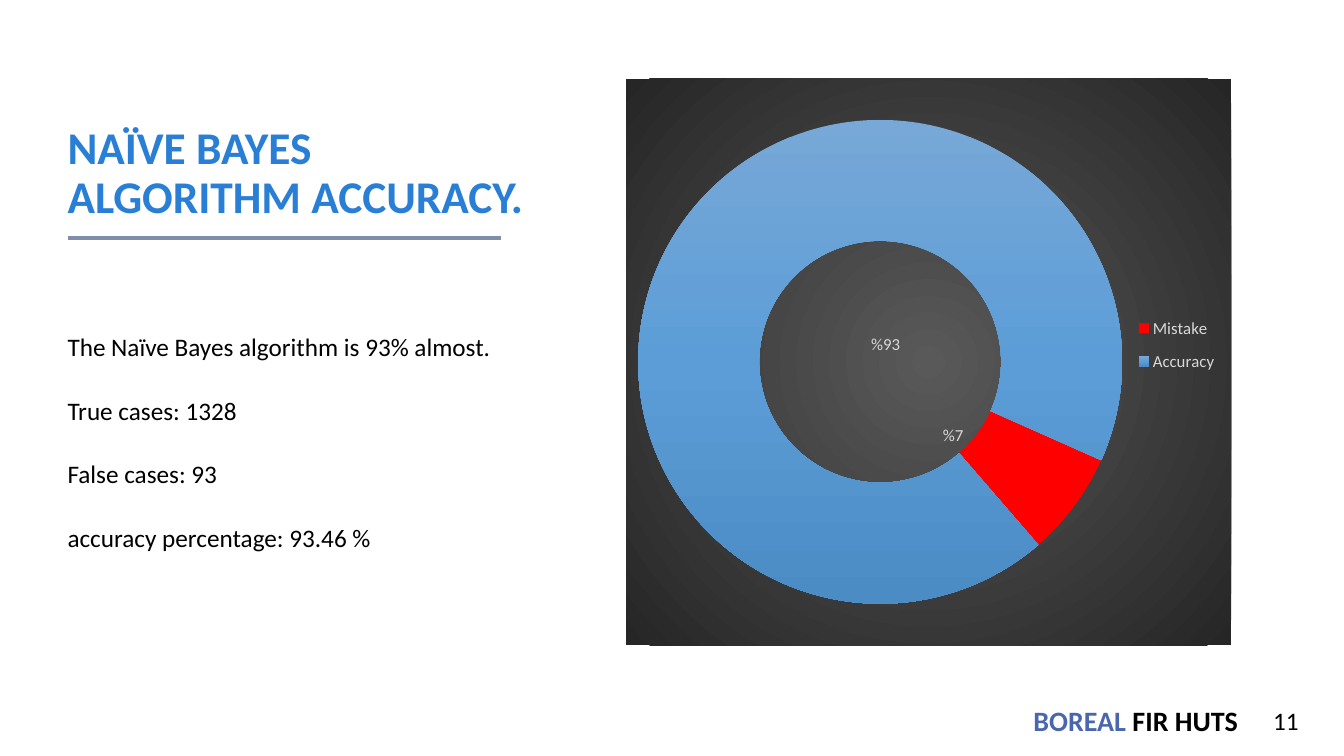
"""Build the slide on Naïve Bayes accuracy with its doughnut chart."""
from lxml import etree
from pptx import Presentation
from pptx.chart.data import CategoryChartData
from pptx.dml.color import RGBColor
from pptx.enum.chart import XL_CHART_TYPE, XL_LEGEND_POSITION
from pptx.enum.shapes import MSO_CONNECTOR
from pptx.enum.text import MSO_ANCHOR, MSO_AUTO_SIZE, PP_ALIGN
from pptx.oxml import parse_xml
from pptx.oxml.ns import nsdecls, qn
from pptx.util import Inches, Pt

DOUGHNUT = XL_CHART_TYPE.DOUGHNUT
LEGEND_RIGHT = XL_LEGEND_POSITION.RIGHT
STRAIGHT = MSO_CONNECTOR.STRAIGHT
TOP, MIDDLE, BOTTOM = MSO_ANCHOR.TOP, MSO_ANCHOR.MIDDLE, MSO_ANCHOR.BOTTOM
LEFT, RIGHT, JUSTIFY = PP_ALIGN.LEFT, PP_ALIGN.RIGHT, PP_ALIGN.JUSTIFY
FIXED, GROW = MSO_AUTO_SIZE.NONE, MSO_AUTO_SIZE.SHAPE_TO_FIT_TEXT

FONT = "Calibri"
BLACK = RGBColor(0x00, 0x00, 0x00)
BLUE = RGBColor(0x29, 0x7F, 0xD5)
INDIGO = RGBColor(0x4A, 0x66, 0xAC)
SLATE = RGBColor(0x7F, 0x8F, 0xA9)
PALE = RGBColor(0xD9, 0xD9, 0xD9)
RED = RGBColor(0xFF, 0x00, 0x00)

TITLE_STYLE = {"size": Pt(32.4), "bold": True}
BRAND_STYLE = {"size": Pt(20), "bold": True}
BODY_STYLE = {"size": Pt(18)}
LABEL_STYLE = {"size": Pt(12)}

TITLE = [[("NAÏVE BAYES\vALGORITHM ACCURACY.", BLUE)]]
FINDINGS = [
    "The Naïve Bayes algorithm is 93% almost.",
    "True cases: 1328",
    "False cases: 93",
    "accuracy percentage: 93.46 %",
]
BRAND = [[("BOREAL", INDIGO), (" FIR HUTS", BLACK)]]
PAGE_NUMBER = [[("11", BLACK)]]
TEXT_BOXES = [
    {"at": (0.67, 0.95, 4.59, 1.31), "lines": TITLE, "style": TITLE_STYLE,
     "insets": (0, 0.05, 0, 0.05), "anchor": BOTTOM,
     "para": {"alignment": LEFT, "line_spacing": 0.9}},
    {"at": (0.67, 2.63, 4.3, 4), "lines": [[(line, BLACK)] for line in FINDINGS],
     "style": BODY_STYLE, "insets": (0, 0.66, 0, 0.05), "anchor": TOP,
     "para": {"alignment": JUSTIFY}, "gap": Pt(23.7)},
    {"at": (10.23, 6.96, 2.18, 0.38), "lines": BRAND, "style": BRAND_STYLE,
     "insets": (0.02, 0.02, 0.02, 0.02), "anchor": MIDDLE, "wrap": False,
     "sizing": GROW, "para": {"alignment": LEFT}},
    {"at": (9.98, 6.95, 3, 0.4), "lines": PAGE_NUMBER, "style": BODY_STYLE,
     "insets": (0.1, 0.05, 0.1, 0.05), "anchor": TOP,
     "para": {"alignment": RIGHT}},
]
RULE = (0.67, 2.36, 4.97, 2.36)

CHART_AT = (6.21, 0.78, 6, 5.62)
SLICES = [("Mistake", 0.07, "%7", (-0.12, -0.06)),
          ("Accuracy", 0.93, "%93", (0.25, 0.16))]
PLOT_AREA = {"x": 0.02, "y": 0.07, "w": 0.8, "h": 0.86}
LEGEND_AREA = {"x": 0.83, "y": 0.4, "w": 0.16, "h": 0.14}
START_ANGLE, HOLE_SIZE = 114, 50
CHART_STOPS = [(0, "595959"), (100, "262626")]
CHART_SHADE = ('<a:path path="circle"><a:fillToRect l="50000" t="50000" '
               'r="50000" b="50000"/></a:path>')
RING_STOPS = [(0, "77A8D7"), (50, "5C9DD7"), (100, "4C8CC5")]
RING_SHADE = '<a:lin ang="5400000" scaled="0"/>'


def apply(target, values):
    for name, value in values.items():
        setattr(target, name, value)


def style_font(font, style, color):
    apply(font, {"name": FONT, **style})
    font.color.rgb = color


def gradient(stops, shade):
    marks = "".join(f'<a:gs pos="{place * 1000}"><a:srgbClr val="{color}"/></a:gs>'
                    for place, color in stops)
    return parse_xml(f'<a:gradFill {nsdecls("a")} rotWithShape="1">'
                     f'<a:gsLst>{marks}</a:gsLst>{shade}</a:gradFill>')


def manual_layout(values, edges=False, inner=False):
    layout = etree.Element(qn("c:layout"))
    manual = etree.SubElement(layout, qn("c:manualLayout"))
    if inner:
        etree.SubElement(manual, qn("c:layoutTarget"), val="inner")
    if edges:
        for mode in ("xMode", "yMode"):
            etree.SubElement(manual, qn(f"c:{mode}"), val="edge")
    for name, value in values.items():
        etree.SubElement(manual, qn(f"c:{name}"), val=str(value))
    return layout


def add_text(page, at, lines, style, insets, anchor, para,
             gap=None, wrap=True, sizing=FIXED):
    frame = page.shapes.add_textbox(*map(Inches, at)).text_frame
    sides = ("margin_left", "margin_top", "margin_right", "margin_bottom")
    apply(frame, dict(zip(sides, map(Inches, insets))))
    apply(frame, {"word_wrap": wrap, "vertical_anchor": anchor, "auto_size": sizing})
    for index, spans in enumerate(lines):
        paragraph = frame.add_paragraph() if index else frame.paragraphs[0]
        apply(paragraph, para)
        if index and gap:
            paragraph.space_before = gap
        for text, color in spans:
            for part, piece in enumerate(text.split("\v")):
                if part:
                    paragraph.add_line_break()
                span = paragraph.add_run()
                span.text = piece
                style_font(span.font, style, color)


def add_rule(page):
    rule = page.shapes.add_connector(STRAIGHT, *map(Inches, RULE))
    rule.line.color.rgb = SLATE
    rule.line.width = Pt(3)
    etree.SubElement(rule.element.spPr, qn("a:effectLst"))


def add_accuracy_chart(page):
    data = CategoryChartData(number_format="0%")
    data.categories = [name for name, *_ in SLICES]
    data.add_series("Series 1", [value for _, value, *_ in SLICES])
    chart = page.shapes.add_chart(DOUGHNUT, *map(Inches, CHART_AT), data).chart
    style_font(chart.font, {"size": Pt(10)}, BLACK)
    apply(chart, {"has_title": False, "has_legend": True})
    apply(chart.legend, {"position": LEGEND_RIGHT, "include_in_layout": False})
    style_font(chart.legend.font, LABEL_STYLE, PALE)
    plot = chart.plots[0]
    plot.vary_by_categories = True
    series = plot.series[0]
    apply(series.data_labels, {
        "show_value": True, "show_percentage": False, "show_category_name": False,
        "show_legend_key": False, "number_format": "0%",
        "number_format_is_linked": False})
    style_font(series.data_labels.font, LABEL_STYLE, PALE)

    root = chart.element
    for index, (_, _, text, shift) in enumerate(SLICES):
        point = series.points[index]
        point.format.line.fill.background()
        point.format.fill.solid()
        point.format.fill.fore_color.rgb = RED
        span = point.data_label.text_frame.paragraphs[0].add_run()
        span.text = text
        style_font(span.font, LABEL_STYLE, PALE)
        label = root.xpath(f'.//c:dLbl[c:idx/@val="{index}"]')[0]
        label.find(qn("c:idx")).addnext(manual_layout(dict(zip("xy", shift))))
    solid = root.xpath('.//c:dPt[c:idx/@val="1"]/c:spPr/a:solidFill')[0]
    solid.getparent().replace(solid, gradient(RING_STOPS, RING_SHADE))

    area = root.find(f'.//{qn("c:plotArea")}')
    legend = root.find(f'.//{qn("c:legend")}')
    for holder in (area, legend):
        for old in holder.findall(qn("c:layout")):
            holder.remove(old)
    area.insert(0, manual_layout(PLOT_AREA, edges=True, inner=True))
    legend.find(qn("c:legendPos")).addnext(manual_layout(LEGEND_AREA, edges=True))
    ring = area.find(qn("c:doughnutChart"))
    for tag, value in (("firstSliceAng", START_ANGLE), ("holeSize", HOLE_SIZE)):
        setting = ring.find(qn(f"c:{tag}"))
        if setting is None:
            setting = etree.SubElement(ring, qn(f"c:{tag}"))
        setting.set("val", str(value))
    corners = root.find(qn("c:roundedCorners"))
    if corners is None:
        corners = etree.Element(qn("c:roundedCorners"))
        root.find(qn("c:date1904")).addnext(corners)
    corners.set("val", "0")
    backdrop = parse_xml(f'<c:spPr {nsdecls("c", "a")}><a:ln><a:noFill/></a:ln></c:spPr>')
    backdrop.insert(0, gradient(CHART_STOPS, CHART_SHADE))
    root.find(qn("c:chart")).addnext(backdrop)


def main():
    deck = Presentation()
    apply(deck, {"slide_width": Inches(13.33), "slide_height": Inches(7.5)})
    page = deck.slides.add_slide(deck.slide_layouts[6])
    add_rule(page)
    for box in TEXT_BOXES:
        add_text(page, **box)
    add_accuracy_chart(page)
    deck.save("out.pptx")


if __name__ == "__main__":
    main()
